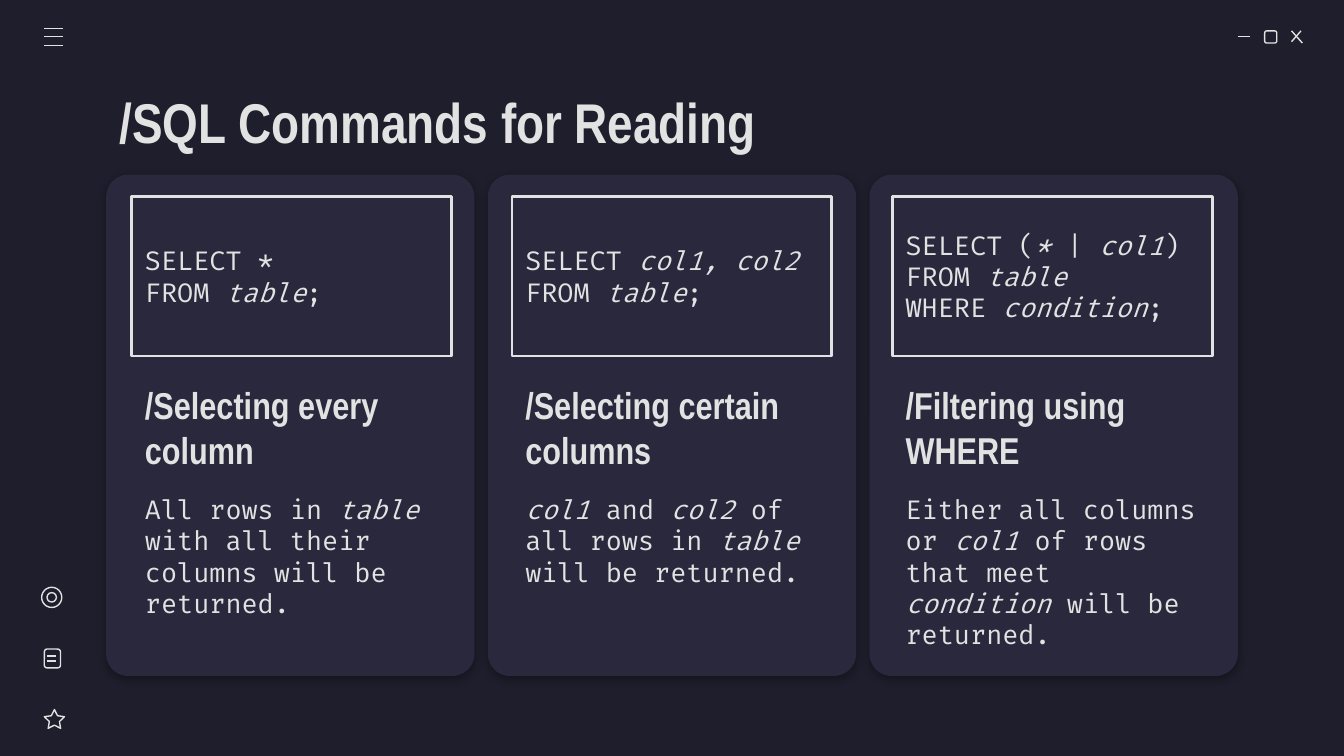
from lxml import etree
from pptx import Presentation
from pptx import util as u
from pptx.dml.color import RGBColor
from pptx.enum import shapes, text
from pptx.oxml.ns import qn

COLORS = {"page": "1E1E2C", "card": "29283D", "ink": "E2E2E2", "shadow": "000000"}
HEADING_FONT, CODE_FONT = "Arial Narrow", "Fira Code"
KIND = shapes.MSO_SHAPE

# 16:9 page and three-column grid, in inches
PAGE_WIDTH = 10
PAGE_HEIGHT = PAGE_WIDTH * 9 / 16
CARD_LEFT, CARD_STEP, CARD_WIDTH = 0.79, 2.84, 2.74
INNER_LEFT, INNER_STEP, INNER_WIDTH = 0.98, 2.83, 2.38

# Underscores enclose italic words
COLUMNS = [
    (["SELECT *", "FROM _table_;"],
     "/Selecting every column",
     "All rows in _table_ with all their columns will be returned."),
    (["SELECT _col1, col2_", "FROM _table_;"],
     "/Selecting certain columns",
     "_col1_ and _col2_ of all rows in _table_ will be returned."),
    (["SELECT (_*_ | _col1_)", "FROM _table_", "WHERE _condition_;"],
     "/Filtering using WHERE",
     "Either all columns or _col1_ of rows that meet _condition_ will be returned."),
]


def color(name):
    return RGBColor.from_string(COLORS[name])


def inches(values):
    return [u.Inches(value) for value in values]


def add_outline(page, kind, place, weight=0.75, corner=None):
    """Add an unfilled shape with a light outline."""
    shape = page.shapes.add_shape(kind, *inches(place))
    shape.shadow.inherit = False
    shape.fill.background()
    shape.line.color.rgb = color("ink")
    shape.line.width = u.Pt(weight)
    if corner is not None:
        shape.adjustments[0] = corner
    return shape


def add_line(page, *ends):
    line = page.shapes.add_connector(shapes.MSO_CONNECTOR.STRAIGHT, *inches(ends))
    line.line.color.rgb = color("ink")
    line.line.width = u.Pt(0.75)
    etree.SubElement(line._element.spPr, qn("a:effectLst"))


def add_card(page, place):
    card = page.shapes.add_shape(KIND.ROUNDED_RECTANGLE, *inches(place))
    card.adjustments[0] = 0.06
    card.fill.solid()
    card.fill.fore_color.rgb = color("card")
    card.line.fill.background()
    card.shadow.inherit = False
    # Soft shadow straight below the card
    effects = card._element.spPr.find(qn("a:effectLst"))
    shadow = etree.SubElement(effects, qn("a:outerShdw"), blurRad=str(u.Pt(4.5)),
                              dist=str(u.Pt(1.5)), dir="5400000",
                              algn="bl", rotWithShape="0")
    tint = etree.SubElement(shadow, qn("a:srgbClr"), val=COLORS["shadow"])
    etree.SubElement(tint, qn("a:alpha"), val="30000")


def write(box, lines, font, size, bold=False, anchor=text.MSO_ANCHOR.MIDDLE, before=0):
    """Fill a box line by line, alternating upright and italic runs."""
    frame = box.text_frame
    frame.word_wrap = True
    frame.vertical_anchor = anchor
    for index, line in enumerate(lines):
        para = frame.add_paragraph() if index else frame.paragraphs[0]
        para.alignment = text.PP_ALIGN.LEFT
        para.space_before = u.Pt(0 if index else before)
        for number, words in enumerate(line.split("_")):
            if not words:
                continue
            span = para.add_run()
            span.text = words
            span.font.name = font
            span.font.size = u.Pt(size)
            span.font.bold = bold
            span.font.italic = number % 2 == 1
            span.font.color.rgb = color("ink")


def add_text(page, place, line, *style, **options):
    box = page.shapes.add_textbox(*inches(place))
    frame = box.text_frame
    frame.margin_top = frame.margin_bottom = u.Inches(0.1)
    frame.margin_left = frame.margin_right = u.Inches(0.1)
    write(box, [line], *style, **options)


def add_window_icons(page):
    # Minimise, maximise, close
    add_line(page, 9.21, 0.27, 9.3, 0.27)
    add_outline(page, KIND.ROUNDED_RECTANGLE, (9.41, 0.23, 0.09, 0.09))
    add_line(page, 9.61, 0.23, 9.69, 0.32)
    add_line(page, 9.68, 0.23, 9.61, 0.31)
    # Menu
    for y in (0.21, 0.27, 0.34):
        add_line(page, 0.33, y, 0.47, y)


def add_side_icons(page):
    # Star
    add_outline(page, KIND.STAR_5_POINT, (0.33, 5.28, 0.15, 0.14), corner=0.25)
    # Note
    add_outline(page, KIND.ROUNDED_RECTANGLE, (0.33, 4.83, 0.12, 0.14))
    for y in (4.88, 4.92):
        add_line(page, 0.35, y, 0.42, y)
    # Rings
    add_outline(page, KIND.OVAL, (0.31, 4.37, 0.15, 0.15))
    add_outline(page, KIND.OVAL, (0.35, 4.41, 0.07, 0.07))


def add_column(page, index, code, heading, description):
    left = INNER_LEFT + index * INNER_STEP
    add_card(page, (CARD_LEFT + index * CARD_STEP, 1.3, CARD_WIDTH, 3.73))
    add_text(page, (left, 2.79, INNER_WIDTH, 0.78), heading, HEADING_FONT, 20, bold=True)
    add_text(page, (left, 3.57, INNER_WIDTH, 1.24), description, CODE_FONT, 14,
             anchor=text.MSO_ANCHOR.TOP)
    frame = add_outline(page, KIND.RECTANGLE, (left, 1.46, INNER_WIDTH, 1.19), weight=1.5)
    write(frame, code, CODE_FONT, 14, before=12)


def main():
    deck = Presentation()
    deck.slide_width, deck.slide_height = inches((PAGE_WIDTH, PAGE_HEIGHT))
    page = deck.slides.add_slide(deck.slide_layouts[6])
    page.background.fill.solid()
    page.background.fill.fore_color.rgb = color("page")

    add_window_icons(page)
    add_side_icons(page)
    add_text(page, (CARD_LEFT, 0.59, 5.41, 0.63), "/SQL Commands for Reading",
             HEADING_FONT, 30, bold=True)
    for index, content in enumerate(COLUMNS):
        add_column(page, index, *content)
    deck.save("out.pptx")


if __name__ == "__main__":
    main()
